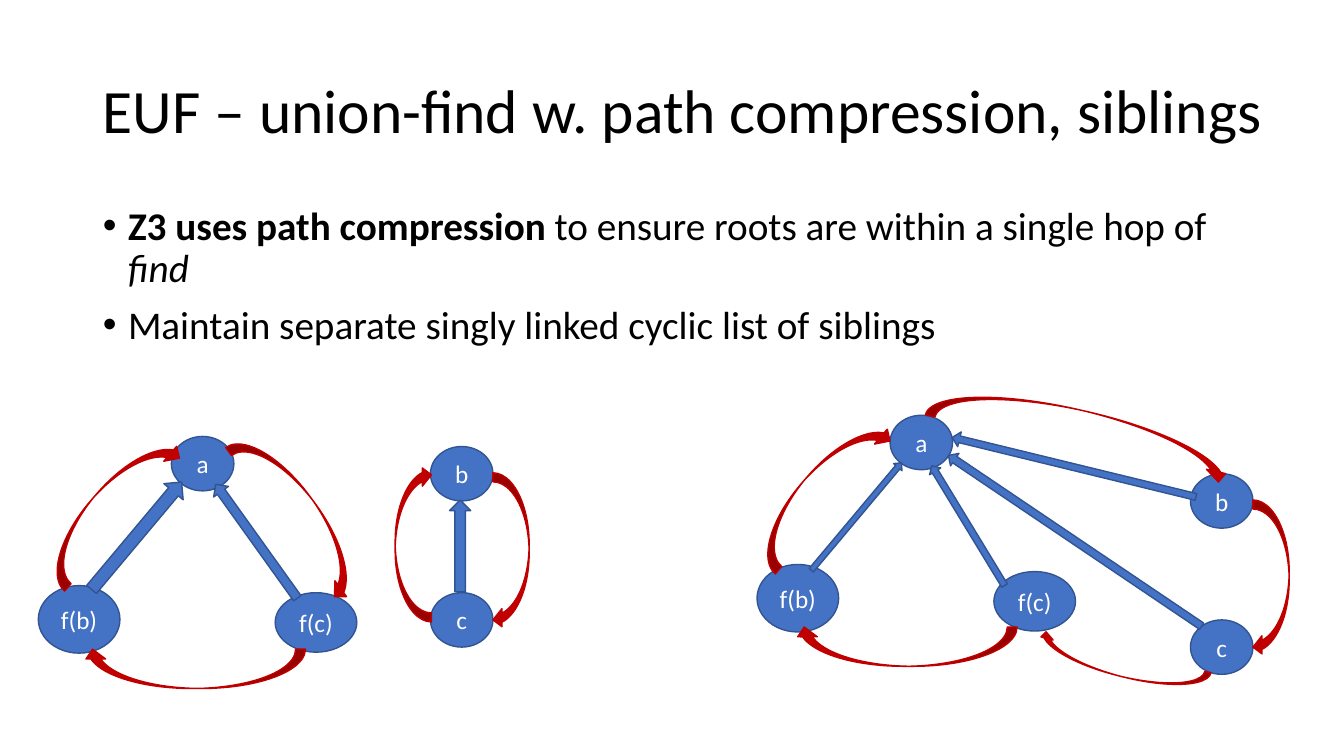
from dataclasses import dataclass

from lxml import etree
from pptx import Presentation
from pptx.dml.color import RGBColor
from pptx.enum.shapes import MSO_SHAPE
from pptx.enum.text import MSO_ANCHOR, MSO_AUTO_SIZE, PP_ALIGN
from pptx.oxml.ns import qn
from pptx.util import Inches, Pt

ELLIPSE = MSO_SHAPE.OVAL
STRAIGHT = MSO_SHAPE.RIGHT_ARROW
CURVED = MSO_SHAPE.CURVED_LEFT_ARROW
LEFT, CENTER = PP_ALIGN.LEFT, PP_ALIGN.CENTER
TOP, MIDDLE = MSO_ANCHOR.TOP, MSO_ANCHOR.MIDDLE
NO_AUTOFIT = MSO_AUTO_SIZE.NONE

COLORS = {"text": "000000", "label": "FFFFFF", "node": "4472C4",
          "edge": "325491", "sibling": "C00000"}
FONT = "Calibri"
COLUMNS, ROWS = 133.33, 75
CELL = Inches(0.1)
INDENT = Inches(0.25)


@dataclass(frozen=True)
class Node:
    label: str
    col: float
    row: float
    cols: float = 6.2
    rows: float = 5.4


@dataclass(frozen=True)
class Arrow:
    col: float
    row: float
    cols: float
    rows: float
    turn: float = 0
    shaft: float = 0.5


def tree(col: float, row: float) -> list[Node]:
    return [Node("a", col + 13.2, row),
            Node("f(b)", col, row + 14.8, 8.1, 6.7),
            Node("f(c)", col + 23.5, row + 15.5, 8.1, 5.9)]


def pair(col: float, row: float) -> list[Node]:
    return [Node("b", col, row), Node("c", col, row + 14.5)]


def pair_sibling(col: float, row: float) -> Arrow:
    return Arrow(col + 6.2, row + 2.6, 3.6, 15.5)


TREE_NODES = tree(3.8, 43.3) + tree(75.1, 41.2) + pair(118.1, 47)
TREE_PARENTS = [
    Arrow(6.6, 51.9, 13.9, 2.5, 310),
    Arrow(18.5, 52.8, 13.9, 1.8, 234.4),
    Arrow(78, 50.7, 13.9, 1.1, 310),
    Arrow(89.1, 51.5, 13.9, 1.3, 238.7),
    Arrow(91.5, 52.9, 30.3, 1.5, 214),
    Arrow(94.1, 45.6, 24.9, 1.5, 193.7, 0.45),
]
TREE_SIBLINGS = [
    Arrow(27.7, 41.4, 3.9, 19.3, 323.9),
    Arrow(17.3, 55.3, 3.9, 22.1, 90),
    Arrow(9, 41.2, 3.9, 18.4, 220.8),
    Arrow(105.3, 27.3, 3.9, 30.8, 282.9),
    pair_sibling(118.1, 47),
    Arrow(87.9, 53.1, 3.9, 22.1, 90),
    Arrow(110.1, 57.1, 2.5, 17.5, 104),
    Arrow(79.5, 39.5, 3.9, 18.4, 220.8),
]
PAIR_NODES = pair(42.7, 44.3)
PAIR_PARENTS = [Arrow(41.1, 53.1, 9.1, 2.1, 270)]
PAIR_SIBLINGS = [Arrow(39.2, 46.2, 3.6, 15.5, 180), pair_sibling(42.7, 44.3)]


def color(name: str) -> RGBColor:
    return RGBColor.from_string(COLORS[name])


def cells(count: float) -> int:
    return round(count * CELL)


def style_font(paragraph, size: int, name: str) -> None:
    paragraph.font.name = FONT
    paragraph.font.size = Pt(size)
    paragraph.font.color.rgb = color(name)


def draw_shape(shapes, kind, item: Node | Arrow, fill: str, line: str):
    shape = shapes.add_shape(kind, cells(item.col), cells(item.row),
                             cells(item.cols), cells(item.rows))
    shape.shadow.inherit = False
    shape.fill.solid()
    shape.fill.fore_color.rgb = color(fill)
    shape.line.color.rgb = color(line)
    shape.line.width = Pt(1)
    return shape


def draw_node(shapes, node: Node) -> None:
    frame = draw_shape(shapes, ELLIPSE, node, "node", "edge").text_frame
    frame.word_wrap = False
    frame.vertical_anchor = MIDDLE
    label = frame.paragraphs[0]
    label.text = node.label
    label.alignment = CENTER
    style_font(label, 18, "label")


def draw_graph(shapes, nodes: list[Node], parents: list[Arrow],
               siblings: list[Arrow]) -> None:
    for node in nodes:
        draw_node(shapes, node)
    for parent in parents:
        arrow = draw_shape(shapes, STRAIGHT, parent, "node", "edge")
        arrow.rotation = parent.turn
        arrow.adjustments[0] = parent.shaft
    for sibling in siblings:
        arrow = draw_shape(shapes, CURVED, sibling, "sibling", "sibling")
        arrow.rotation = sibling.turn


def place(holder, col: float, row: float, cols: float, rows: float, anchor):
    holder.left, holder.top = cells(col), cells(row)
    holder.width, holder.height = cells(cols), cells(rows)
    frame = holder.text_frame
    frame.word_wrap = True
    frame.auto_size = NO_AUTOFIT
    frame.vertical_anchor = anchor
    return frame


def format_bullet(paragraph, space_before: int) -> None:
    properties = paragraph._p.get_or_add_pPr()
    properties.set("marL", str(INDENT))
    properties.set("indent", str(-INDENT))
    etree.SubElement(properties, qn("a:buFont")).set("typeface", "Arial")
    etree.SubElement(properties, qn("a:buChar")).set("char", "•")
    paragraph.alignment = LEFT
    paragraph.line_spacing = 0.9
    paragraph.space_before = Pt(space_before)
    style_font(paragraph, 28, "text")


def main() -> None:
    deck = Presentation()
    deck.slide_width, deck.slide_height = cells(COLUMNS), cells(ROWS)
    slide = deck.slides.add_slide(deck.slide_layouts[1])

    heading = place(slide.shapes.title, 9.2, 4, 117.7, 14.5, MIDDLE).paragraphs[0]
    heading.text = "EUF – union-find w. path compression, siblings"
    heading.alignment = LEFT
    heading.line_spacing = 0.9
    style_font(heading, 44, "text")

    points = place(slide.placeholders[1], 9.2, 20, 115, 47.6, TOP)
    compression = points.paragraphs[0]
    strategy = compression.add_run()
    strategy.text = "Z3 uses path compression "
    strategy.font.bold = True
    compression.add_run().text = "to ensure roots are within a single hop of "
    operation = compression.add_run()
    operation.text = "find"
    operation.font.italic = True
    format_bullet(compression, 0)
    cyclic_list = points.add_paragraph()
    cyclic_list.text = "Maintain separate singly linked cyclic list of siblings"
    format_bullet(cyclic_list, 10)

    draw_graph(slide.shapes, TREE_NODES, TREE_PARENTS, TREE_SIBLINGS)
    draw_graph(slide.shapes.add_group_shape().shapes,
               PAIR_NODES, PAIR_PARENTS, PAIR_SIBLINGS)
    deck.save("out.pptx")


if __name__ == "__main__":
    main()
